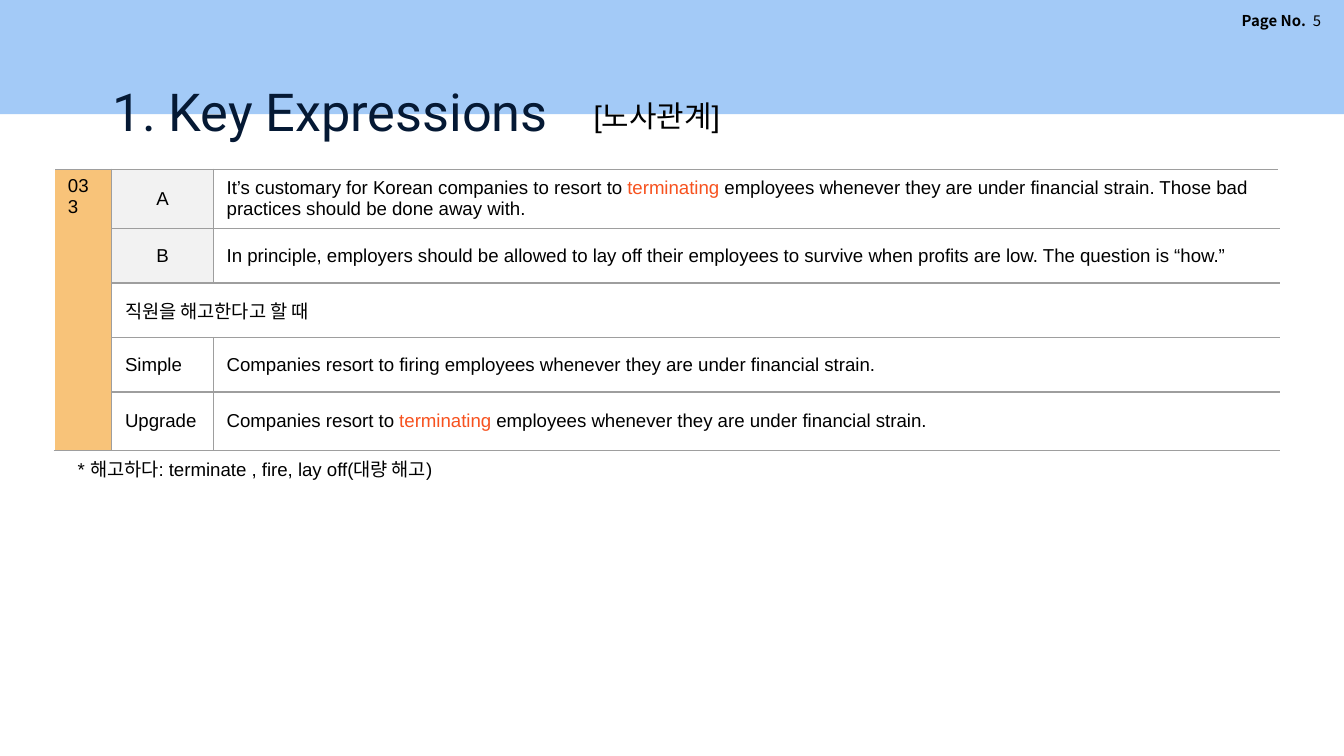
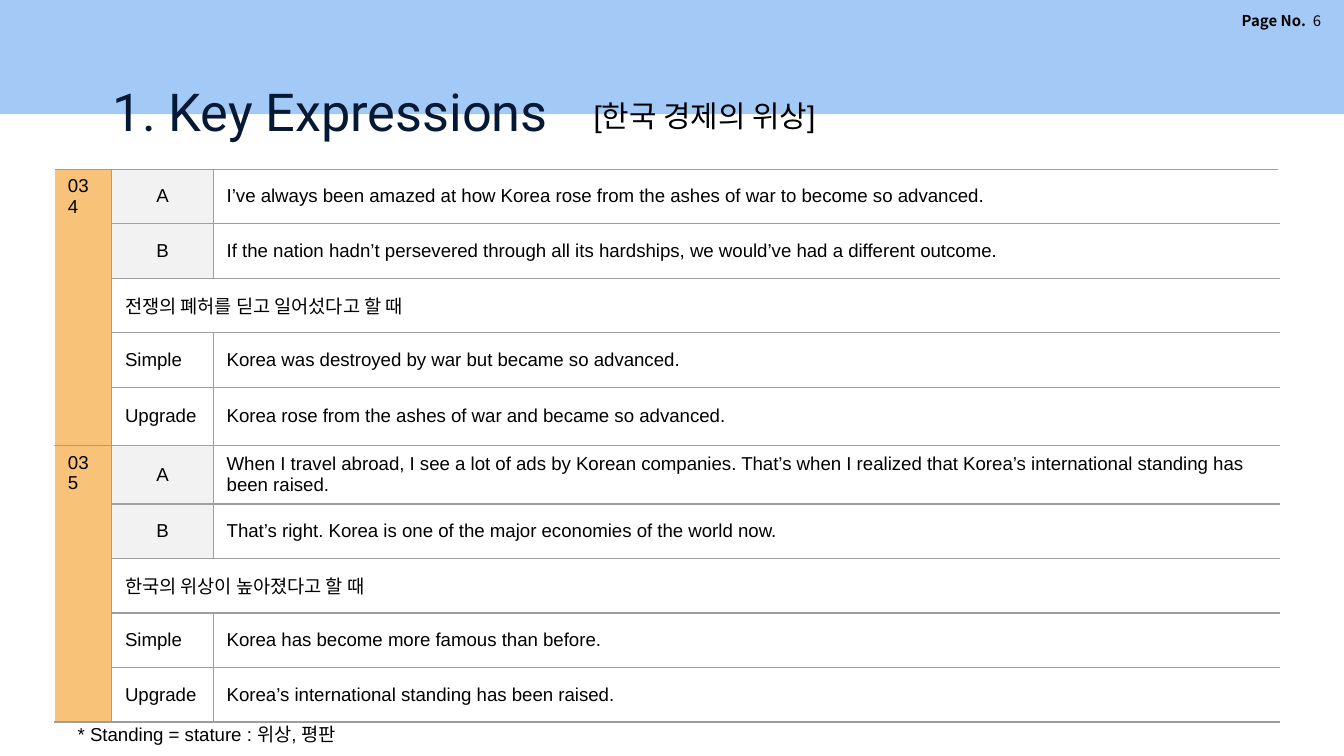
from lxml.etree import SubElement
from pptx import Presentation
from pptx.dml.color import RGBColor
from pptx.enum.shapes import MSO_SHAPE
from pptx.enum.text import MSO_ANCHOR, MSO_AUTO_SIZE, PP_ALIGN
from pptx.oxml.ns import qn
from pptx.util import Cm, Pt

# Theme: colours, fonts and type sizes
THEME = {
    "band": RGBColor.from_string("A3CAF7"),
    "number_fill": RGBColor.from_string("F8C379"),
    "speaker_fill": RGBColor.from_string("F2F2F2"),
    "rule": "9E9E9E",
    "edge": "FFFFFF",
    "title": dict(name="Roboto", size=Pt(28), color="051934", bold=False),
    "topic": dict(name="Arial", size=Pt(16), color="000000"),
    "body": dict(name="Arial", size=Pt(10), color="000000"),
    "accent": dict(name="Arial", size=Pt(10), color="F7521F"),
    "page": dict(name="Noto Sans CJK KR", size=Pt(8), color="000000", bold=False),
    "page_label": dict(name="Noto Sans CJK KR", size=Pt(8), color="000000", bold=True),
}
NO_STYLE = "{2D5ABB26-0587-4C30-8999-92F81FD0307C}"
COLS = (1.08, 1.92, 20.14)
ROW, TALL_ROW = 1.03, 1.12
LABELS = ("A", "B", None, "Simple", "Upgrade")
FIRST_PAGE = 5

# Content: accented words stand between bars
DECK = [
    {
        "topic": "[노사관계]", "topic_width": 4.06, "first_row": TALL_ROW,
        "note": "* 해고하다: terminate , fire, lay off(대량 해고)", "note_top": 8.53,
        "entries": {
            "033": (
                "It’s customary for Korean companies to resort to |terminating| employees "
                "whenever they are under financial strain. Those bad practices should be "
                "done away with.",
                "In principle, employers should be allowed to lay off their employees to "
                "survive when profits are low. The question is “how.”",
                "직원을 해고한다고 할 때",
                "Companies resort to firing employees whenever they are under financial strain.",
                "Companies resort to |terminating |employees whenever they are under "
                "financial strain.",
            ),
        },
    },
    {
        "topic": "[한국 경제의 위상]", "topic_width": 6.2, "first_row": ROW,
        "note": "* Standing = stature : 위상, 평판", "note_top": 13.54,
        "entries": {
            "034": (
                "I’ve always been amazed at how Korea rose from the ashes of war to become "
                "so advanced.",
                "If the nation hadn’t persevered through all its hardships, we would’ve had "
                "a different outcome.",
                "전쟁의 폐허를 딛고 일어섰다고 할 때",
                "Korea was destroyed by war but became so advanced.",
                "Korea rose from the ashes of war and became so advanced.",
            ),
            "035": (
                "When I travel abroad, I see a lot of ads by Korean companies. That’s when "
                "I realized that Korea’s international standing has been raised.",
                "That’s right. Korea is one of the major economies of the world now.",
                "한국의 위상이 높아졌다고 할 때",
                "Korea has become more famous than before.",
                "Korea’s international standing has been raised.",
            ),
        },
    },
]


def write(tf, text, style, other=None, align=PP_ALIGN.LEFT):
    """Fill a text frame; parts between bars take the other style."""
    p = tf.paragraphs[0]
    p.alignment = align
    for i, part in enumerate(text.split("|")):
        if not part:
            continue
        r = p.add_run()
        r.text = part
        for key, value in THEME[other if i % 2 else style].items():
            if key == "color":
                r.font.color.rgb = RGBColor.from_string(value)
            else:
                setattr(r.font, key, value)


def border(cell, **sides):
    """Draw the named sides (L, R, T, B) of a cell, ahead of its fill."""
    tcPr = cell._tc.get_or_add_tcPr()
    for i, (side, color) in enumerate(sides.items()):
        width = Pt(1) if color == THEME["edge"] else Pt(0.75)
        ln = SubElement(tcPr, qn(f"a:ln{side}"), w=str(int(width)))
        fill = SubElement(ln, qn("a:solidFill"))
        SubElement(fill, qn("a:srgbClr"), val=color)
        tcPr.insert(i, ln)


prs = Presentation()
prs.slide_width, prs.slide_height = Cm(25.4), Cm(14.29)
layout = prs.slide_layouts[5]
slides = [prs.slides.add_slide(layout) for _ in DECK]

# Header band, shared through the layout
band = slides[0].shapes.add_shape(MSO_SHAPE.RECTANGLE, 0, 0, prs.slide_width, Cm(2.16))
band.shadow.inherit = False
band.fill.solid()
band.fill.fore_color.rgb = THEME["band"]
band.line.fill.background()
layout.shapes._spTree.insert(2, band._element)

for page, (s, data) in enumerate(zip(slides, DECK), FIRST_PAGE):
    # Title
    title = s.shapes.title
    title.left, title.top, title.width, title.height = Cm(1.88), Cm(1.24), Cm(9.1), Cm(1.6)
    tf = title.text_frame
    inset = Cm(0.25)
    for key, value in dict(margin_left=inset, margin_right=inset, margin_top=inset,
                           margin_bottom=inset, vertical_anchor=MSO_ANCHOR.TOP,
                           auto_size=MSO_AUTO_SIZE.NONE, word_wrap=True).items():
        setattr(tf, key, value)
    write(tf, "1. Key Expressions", "title")

    # Page number, topic and vocabulary note
    for text, style, other, align, box in (
        (f"|Page No.  |{page}", "page", "page_label", PP_ALIGN.RIGHT, (21.54, 0.1, 3.68, 0.58)),
        (data["topic"], "topic", None, PP_ALIGN.LEFT, (10.97, 1.73, data["topic_width"], 0.94)),
        (data["note"], "body", None, PP_ALIGN.LEFT, (1.22, data["note_top"], 9.55, 0.69)),
    ):
        tf = s.shapes.add_textbox(*map(Cm, box)).text_frame
        tf.word_wrap = True
        write(tf, text, style, other, align)

    # Expression table: five rows for each entry
    count = len(LABELS) * len(data["entries"])
    height = data["first_row"] + ROW * (count - 1)
    frame = s.shapes.add_table(count, len(COLS), Cm(1.03), Cm(3.2), Cm(sum(COLS)), Cm(height))
    table = frame.table
    table.first_row = table.horz_banding = False
    table._tbl.tblPr.find(qn("a:tableStyleId")).text = NO_STYLE
    for col, width in zip(table.columns, COLS):
        col.width = Cm(width)
    for row in table.rows:
        row.height = Cm(ROW)
    table.rows[0].height = Cm(data["first_row"])

    rule, edge = THEME["rule"], THEME["edge"]
    for n, (number, lines) in enumerate(data["entries"].items()):
        top = n * len(LABELS)
        last = top + len(LABELS) - 1
        head = table.cell(top, 0)
        head.merge(table.cell(last, 0))
        write(head.text_frame, number, "body")
        for i, (label, line) in enumerate(zip(LABELS, lines), top):
            number_cell, label_cell, line_cell = (table.cell(i, c) for c in range(3))
            number_cell.fill.solid()
            number_cell.fill.fore_color.rgb = THEME["number_fill"]
            sides = dict(L=edge, R=rule)
            if i == top:
                sides["T"] = rule
            if i in (top, last):
                sides["B"] = rule
            border(number_cell, **sides)

            for cell in (label_cell, line_cell):
                cell.vertical_anchor = MSO_ANCHOR.MIDDLE
                cell.fill.background()
            if label is None:
                label_cell.merge(line_cell)
                write(label_cell.text_frame, line, "body")
            else:
                speaker = len(label) == 1
                if speaker:
                    label_cell.fill.solid()
                    label_cell.fill.fore_color.rgb = THEME["speaker_fill"]
                write(label_cell.text_frame, label, "body",
                      align=PP_ALIGN.CENTER if speaker else PP_ALIGN.LEFT)
                write(line_cell.text_frame, line, "body", "accent")
            border(label_cell, L=rule, R=rule if label else edge, T=rule, B=rule)
            border(line_cell, L=rule, R=edge, T=rule, B=rule)

prs.save("out.pptx")
